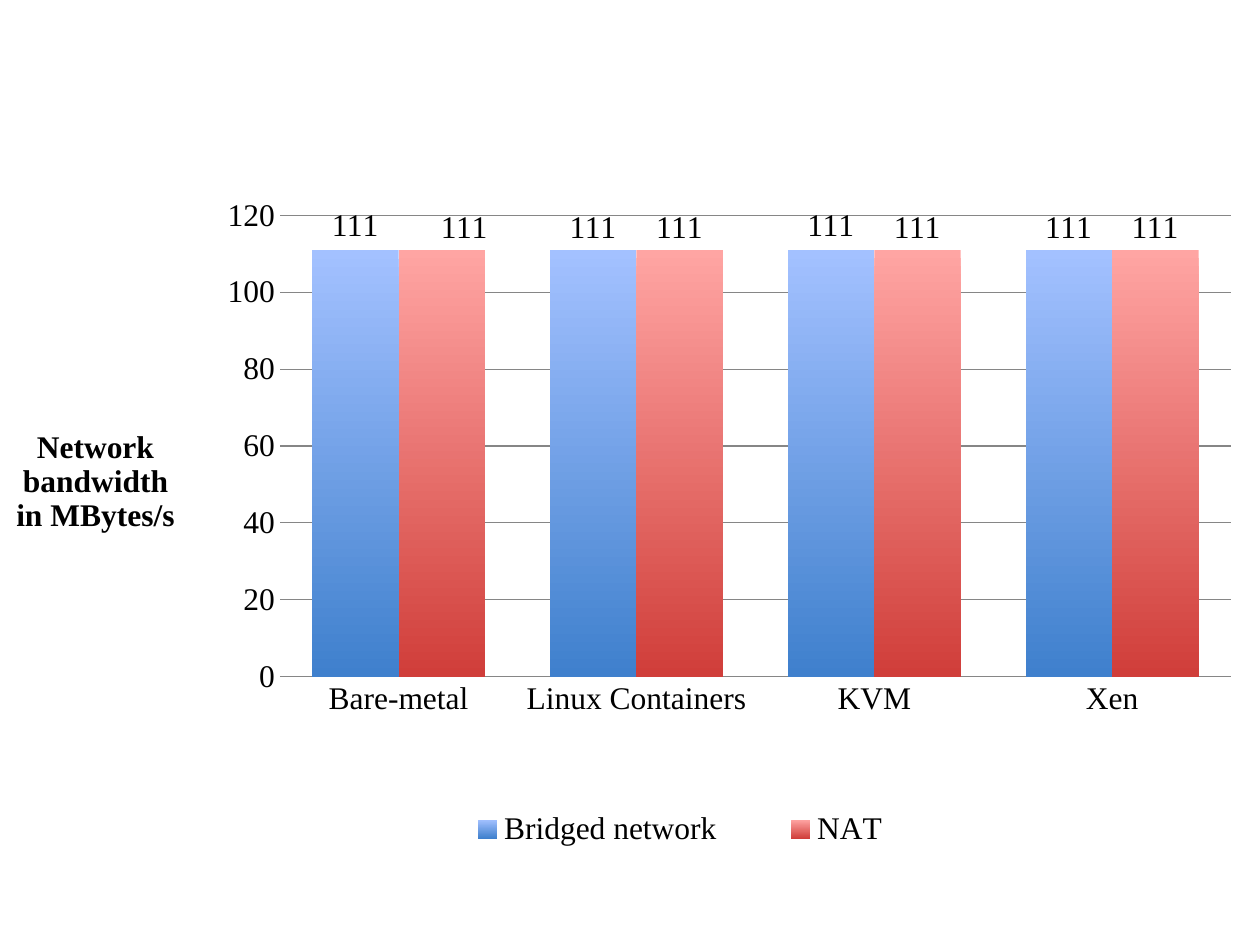
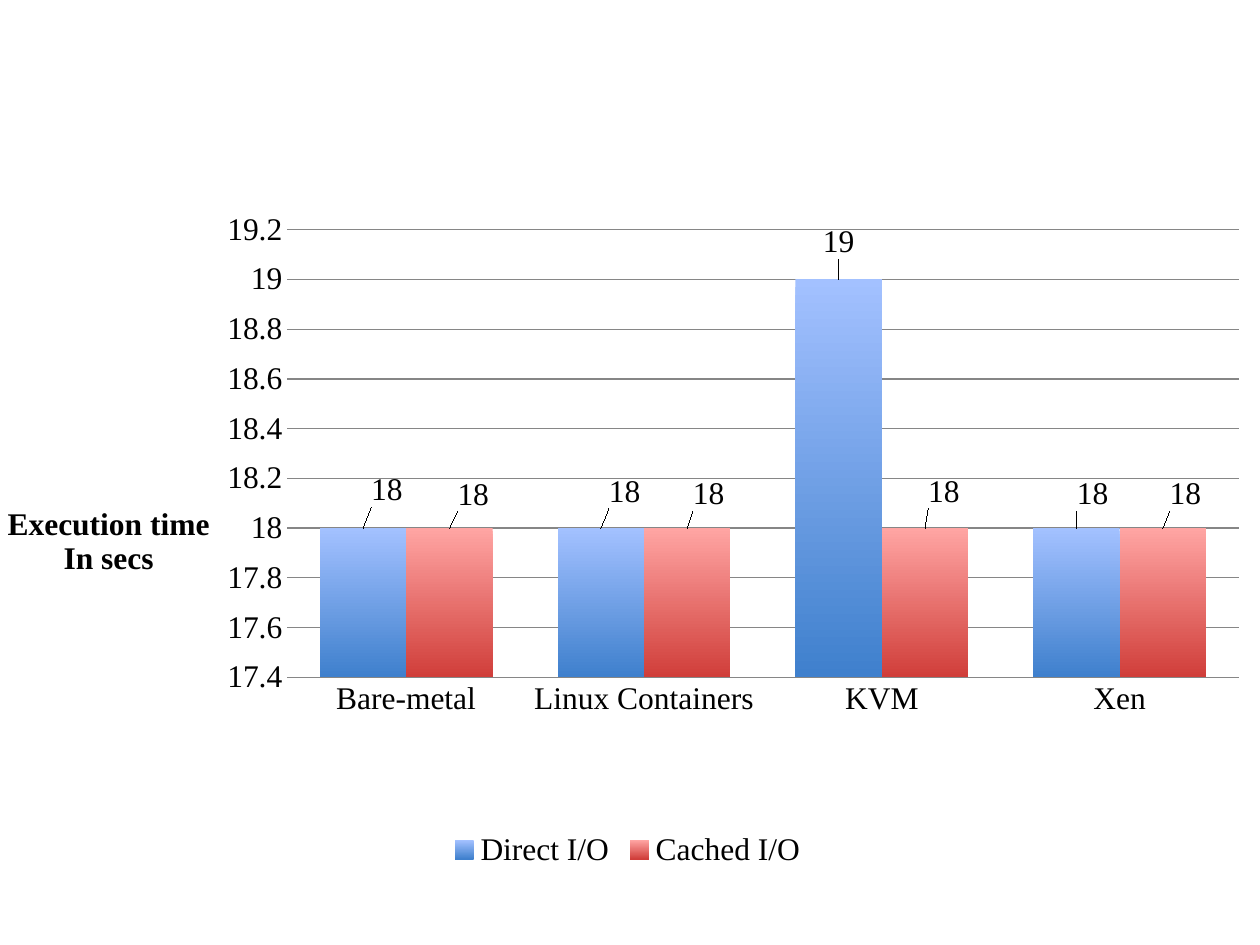
from lxml import etree
from pptx import Presentation
from pptx import util as u
from pptx.chart import data as chart_data
from pptx.dml import color
from pptx.enum import chart as kinds, text
from pptx.oxml import ns

COLORS = {
    "text": "000000",
    "grid": "868686",
    "blue_top": "A3C1FF",
    "blue_bottom": "3F80CD",
    "red_top": "FFA5A3",
    "red_bottom": "D03E3A",
}
GRADIENTS = [("blue_top", "blue_bottom"), ("red_top", "red_bottom")]
PLATFORMS = ["Bare-metal", "Linux Containers", "KVM", "Xen"]


class ChartDeck:
    font_name = "Times New Roman"
    font_size = u.Pt(18)
    columns, rows = 100, 75

    def __init__(self):
        self.deck = Presentation()
        self.deck.slide_width = u.Inches(10)
        self.deck.slide_height = u.Inches(7.5)
        self.page = None

    def add_page(self):
        self.page = self.deck.slides.add_slide(self.deck.slide_layouts[6])

    def color(self, name):
        return color.RGBColor.from_string(COLORS[name])

    def style_font(self, font, bold=False):
        font.name = self.font_name
        font.size = self.font_size
        font.bold = bold
        font.color.rgb = self.color("text")

    def style_line(self, line):
        line.color.rgb = self.color("grid")
        line.width = u.Pt(0.75)

    def place(self, parent, percents, after=None, inner=False, edge=True):
        for old in parent.findall(ns.qn("c:layout")):
            parent.remove(old)
        layout = etree.Element(ns.qn("c:layout"))
        manual = etree.SubElement(layout, ns.qn("c:manualLayout"))
        settings = [("layoutTarget", "inner")] if inner else []
        if edge:
            settings += [("xMode", "edge"), ("yMode", "edge")]
        settings += [(key, str(round(value / 100, 4))) for key, value in zip("xywh", percents)]
        for key, value in settings:
            etree.SubElement(manual, ns.qn(f"c:{key}")).set("val", value)
        if after:
            parent.find(ns.qn(after)).addnext(layout)
        else:
            parent.insert(0, layout)

    def add_column_chart(self, top, height, series, plot_area):
        values = chart_data.CategoryChartData()
        values.categories = PLATFORMS
        for name, numbers in series.items():
            values.add_series(name, numbers)
        cell_width = self.deck.slide_width / self.columns
        cell_height = self.deck.slide_height / self.rows
        chart = self.page.shapes.add_chart(
            kinds.XL_CHART_TYPE.COLUMN_CLUSTERED, 0, int(top * cell_height),
            int(99.6 * cell_width), int(height * cell_height), values).chart
        chart.has_title = False
        self.style_font(chart.font)
        plot = chart.plots[0]
        plot.gap_width, plot.overlap = 75, 0
        plot.vary_by_categories = False
        for bars, (top_color, bottom_color) in zip(plot.series, GRADIENTS):
            self.fill_bars(bars, top_color, bottom_color)
        self.place(chart.element.xpath(".//c:plotArea")[0], plot_area, inner=True)
        return chart

    def fill_bars(self, bars, top_color, bottom_color):
        bars.invert_if_negative = False
        fill = bars.format.fill
        fill.gradient()
        fill.gradient_angle = 270
        for stop, name in zip(fill.gradient_stops, (top_color, bottom_color)):
            stop.color.rgb = self.color(name)
        labels = bars.data_labels
        labels.show_value = True
        labels.position = kinds.XL_LABEL_POSITION.OUTSIDE_END
        self.style_font(labels.font)

    def shift_labels(self, chart, offsets):
        elements = chart.element.xpath(".//c:ser")
        for bars, element, shifts in zip(chart.plots[0].series, elements, offsets):
            for index, shift in shifts.items():
                label = bars.points[index].data_label
                label.position = kinds.XL_LABEL_POSITION.OUTSIDE_END
                self.style_font(label.font)
                node = element.xpath(f"./c:dLbls/c:dLbl[c:idx/@val='{index}']")[0]
                self.place(node, shift, after="c:idx", edge=False)

    def format_axes(self, chart, low, high, step):
        for axis in (chart.category_axis, chart.value_axis):
            axis.major_tick_mark = kinds.XL_TICK_MARK.NONE
            axis.minor_tick_mark = kinds.XL_TICK_MARK.NONE
            self.style_font(axis.tick_labels.font)
        self.style_line(chart.category_axis.format.line)
        scale = chart.value_axis
        scale.minimum_scale, scale.maximum_scale, scale.major_unit = low, high, step
        scale.tick_labels.number_format = "General"
        scale.tick_labels.number_format_is_linked = False
        scale.format.line.fill.background()
        scale.has_major_gridlines = True
        self.style_line(scale.major_gridlines.format.line)

    def add_axis_title(self, chart, lines, corner):
        frame = chart.value_axis.axis_title.text_frame
        for number, line in enumerate(lines):
            para = frame.add_paragraph() if number else frame.paragraphs[0]
            para.alignment = text.PP_ALIGN.CENTER
            span = para.add_run()
            span.text = line
            self.style_font(span.font, bold=True)
        title = chart.element.xpath(".//c:valAx/c:title")[0]
        body = title.xpath(".//a:bodyPr")[0]
        body.set("rot", "0")
        body.set("vert", "horz")
        self.place(title, corner, after="c:tx")

    def add_legend(self, chart, area=None):
        chart.has_legend = True
        chart.legend.position = kinds.XL_LEGEND_POSITION.BOTTOM
        chart.legend.include_in_layout = False
        self.style_font(chart.legend.font)
        if area:
            self.place(chart.element.xpath(".//c:legend")[0], area, after="c:legendPos")


def add_network_page(deck):
    deck.add_page()
    series = {"Bridged network": [111] * 4, "NAT": [111] * 4}
    chart = deck.add_column_chart(9.7, 61.8, series, (22.3, 12, 75.8, 59.2))
    deck.format_axes(chart, 0, 120, 20)
    deck.add_axis_title(chart, ["Network bandwidth", "in MBytes/s"], (1, 38.8))
    deck.add_legend(chart, (33, 85.8, 42.4, 10))
    deck.shift_labels(chart, [{0: (0, -0.3), 2: (0, -0.3)}, {0: (1.8, 0)}])


def add_execution_page(deck):
    deck.add_page()
    series = {"Direct I/O": [18, 18, 19, 18], "Cached I/O": [18] * 4}
    chart = deck.add_column_chart(9.3, 60, series, (22.9, 14.9, 75.8, 59.2))
    deck.format_axes(chart, 17.4, 19.2, 0.2)
    deck.add_axis_title(chart, ["Execution time", "In secs"], (0.3, 50.9))
    deck.add_legend(chart)
    direct = [(1.9, -2.1), (1.9, -1.9), (0, -2), (1.3, -1.6)]
    cached = [(1.9, -1.5), (1.7, -1.6), (1.5, -1.9), (1.8, -1.6)]
    deck.shift_labels(chart, [dict(enumerate(direct)), dict(enumerate(cached))])


def main():
    deck = ChartDeck()
    add_network_page(deck)
    add_execution_page(deck)
    deck.deck.save("out.pptx")


if __name__ == "__main__":
    main()
